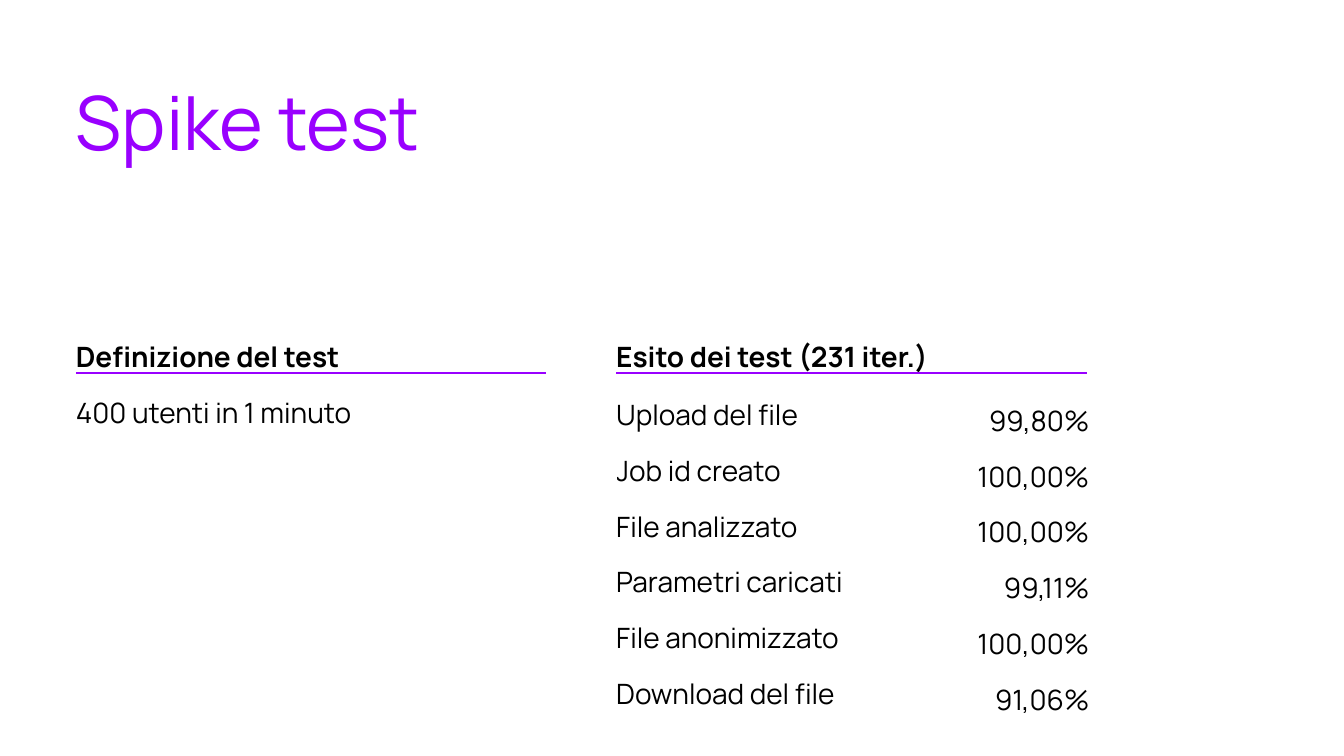
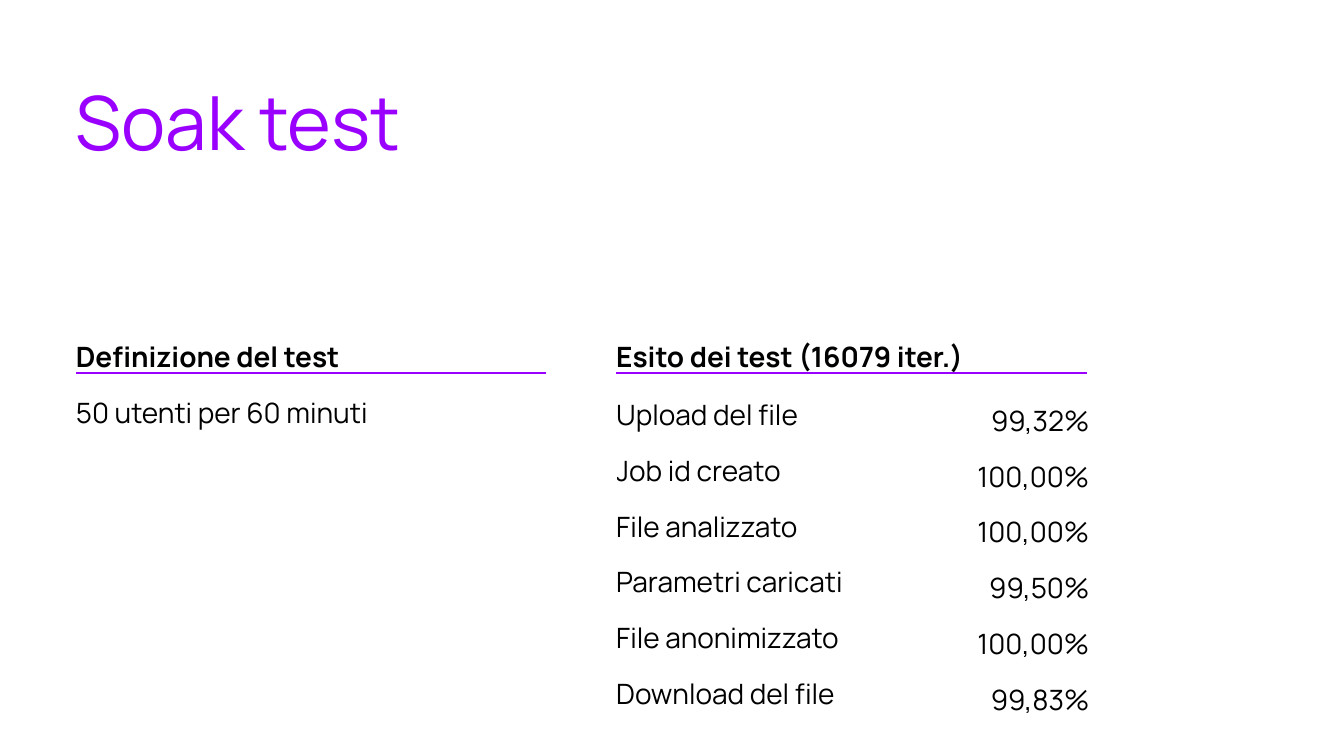
"""Build the two load test result slides."""
from dataclasses import dataclass

from lxml.etree import SubElement
from pptx import Presentation
from pptx.dml.color import RGBColor
from pptx.enum.shapes import MSO_CONNECTOR
from pptx.enum.text import MSO_ANCHOR as Anchor
from pptx.enum.text import MSO_AUTO_SIZE as AutoSize
from pptx.enum.text import PP_ALIGN as Align
from pptx.oxml.ns import qn
from pptx.util import Emu, Pt

PX = 4572
FONT = "Manrope"
PURPLE, BLACK = "9900FF", "000000"
COMPARISON_LAYOUT = 4
SLIDE_WIDTH, SLIDE_HEIGHT = 2000, 1125
LEFT, RIGHT = 113, 917
RULE_Y, RULE_WIDTH = 555, 700
CONTENT_Y, COLUMN_WIDTH = 589, 706
OUTCOME_WIDTHS, ROW_HEIGHT = (498, 206), 83
STEPS = ("Upload del file", "Job id creato", "File analizzato",
         "Parametri caricati", "File anonimizzato", "Download del file")


@dataclass(frozen=True)
class Box:
    left: int
    top: int
    width: int
    height: int


@dataclass(frozen=True)
class TextStyle:
    size: int = 15
    color: str = BLACK
    bold: bool = False
    align: Align = Align.LEFT
    spacing: float = 1.0
    after: int = 0


@dataclass(frozen=True)
class LoadTest:
    title: str
    definition: str
    iterations: int
    rates: tuple[str, ...]


TITLE = TextStyle(size=40, color=PURPLE)
HEADING = TextStyle(bold=True, spacing=1.15, after=8)
BODY = TextStyle()
RATE = TextStyle(align=Align.RIGHT, spacing=1.15)

TESTS = (
    LoadTest("Spike test", "400 utenti in 1 minuto", 231,
             ("99,80%", "100,00%", "100,00%", "99,11%", "100,00%", "91,06%")),
    LoadTest("Soak test", "50 utenti per 60 minuti", 16079,
             ("99,32%", "100,00%", "100,00%", "99,50%", "100,00%", "99,83%")),
)


def px(length: int) -> Emu:
    """Turn a length in px into EMU."""
    return Emu(length * PX)


def rgb(color: str) -> RGBColor:
    """Turn a hex string into a colour."""
    return RGBColor.from_string(color)


def format_paragraph(paragraph, style: TextStyle) -> None:
    """Apply a text style to a paragraph and its runs."""
    paragraph.alignment = style.align
    paragraph.line_spacing = style.spacing
    paragraph.space_before = Pt(0)
    paragraph.space_after = Pt(style.after)
    for run in paragraph.runs:
        run.font.name = FONT
        run.font.size = Pt(style.size)
        run.font.bold = style.bold
        run.font.color.rgb = rgb(style.color)


def fill_placeholder(placeholder, text: str, box: Box, style: TextStyle,
                     anchor: Anchor = Anchor.TOP) -> None:
    """Move a placeholder and fill it with one unbulleted paragraph."""
    placeholder.left, placeholder.top = px(box.left), px(box.top)
    placeholder.width, placeholder.height = px(box.width), px(box.height)
    frame = placeholder.text_frame
    frame.text = text
    frame.word_wrap = True
    frame.auto_size = AutoSize.NONE
    frame.vertical_anchor = anchor
    frame.margin_left = frame.margin_right = 0
    frame.margin_top = frame.margin_bottom = 0
    paragraph = frame.paragraphs[0]
    properties = paragraph._p.get_or_add_pPr()
    properties.set("marL", "0")
    properties.set("indent", "0")
    SubElement(properties, qn("a:buNone"))
    format_paragraph(paragraph, style)


def add_heading(slide, placeholder, text: str, left: int) -> None:
    """Set a column heading above its purple rule."""
    rule = slide.shapes.add_connector(
        MSO_CONNECTOR.STRAIGHT, px(left), px(RULE_Y),
        px(left + RULE_WIDTH), px(RULE_Y))
    rule.line.color.rgb = rgb(PURPLE)
    rule.line.width = Pt(1.5)
    SubElement(rule._element.spPr, qn("a:effectLst"))
    fill_placeholder(placeholder, text, Box(left, 452, COLUMN_WIDTH, 104),
                     HEADING, Anchor.BOTTOM)


def add_outcomes(slide, rates: tuple[str, ...]) -> None:
    """Add the table of steps and success rates."""
    outcomes = slide.shapes.add_table(
        len(STEPS), len(OUTCOME_WIDTHS), px(RIGHT), px(CONTENT_Y),
        px(sum(OUTCOME_WIDTHS)), px(ROW_HEIGHT * len(STEPS))).table
    outcomes.first_row = outcomes.horz_banding = False
    for column, width in zip(outcomes.columns, OUTCOME_WIDTHS):
        column.width = px(width)
    for row, step_and_rate in zip(outcomes.rows, zip(STEPS, rates)):
        for cell, text, style in zip(row.cells, step_and_rate, (BODY, RATE)):
            cell.fill.background()
            cell.margin_left = cell.margin_right = 0
            cell.margin_top = cell.margin_bottom = 0
            cell.text_frame.text = text
            format_paragraph(cell.text_frame.paragraphs[0], style)


def add_test_slide(deck, test: LoadTest) -> None:
    """Add the slide of one load test."""
    slide = deck.slides.add_slide(deck.slide_layouts[COMPARISON_LAYOUT])
    title, definition_heading, definition, outcome_heading, unused = slide.placeholders
    fill_placeholder(title, test.title, Box(LEFT, 113, 1504, 244), TITLE)
    add_heading(slide, definition_heading, "Definizione del test", LEFT)
    fill_placeholder(definition, test.definition,
                     Box(LEFT, CONTENT_Y, COLUMN_WIDTH, 748), BODY)
    add_heading(slide, outcome_heading,
                f"Esito dei test ({test.iterations} iter.)", RIGHT)
    unused._element.getparent().remove(unused._element)
    add_outcomes(slide, test.rates)


def main() -> None:
    """Build and save the deck."""
    deck = Presentation()
    deck.slide_width, deck.slide_height = px(SLIDE_WIDTH), px(SLIDE_HEIGHT)
    for test in TESTS:
        add_test_slide(deck, test)
    deck.save("out.pptx")


if __name__ == "__main__":
    main()
